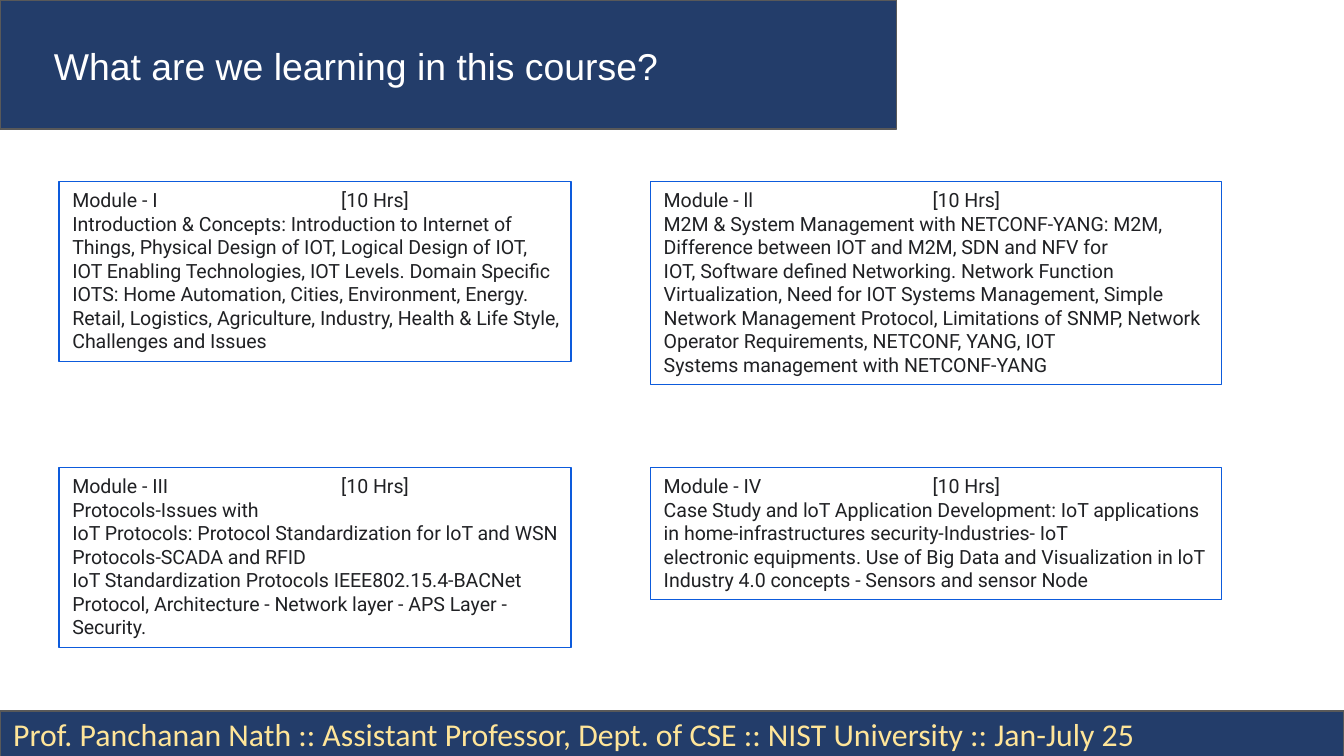
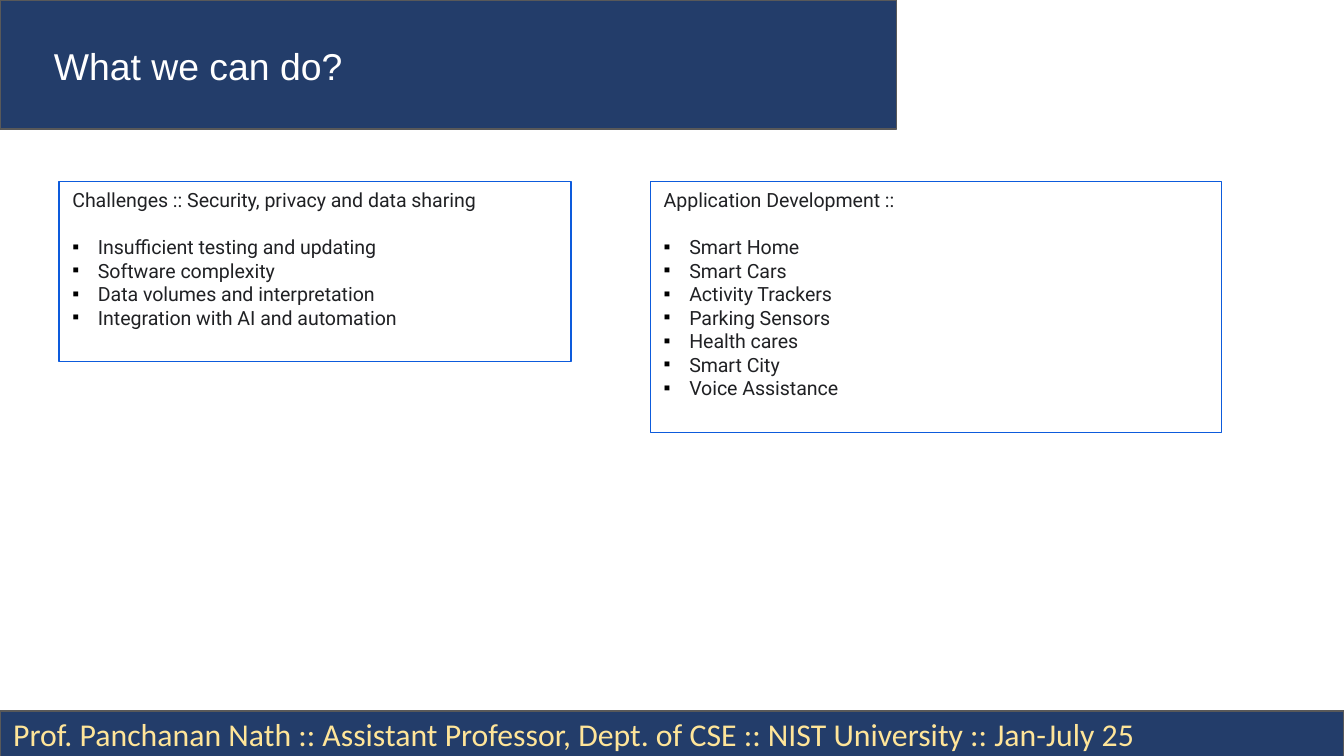
from lxml.etree import SubElement as Sub
from pptx import Presentation
from pptx.dml.color import RGBColor
from pptx.enum.shapes import MSO_SHAPE as Kind
from pptx.enum.text import MSO_ANCHOR as Anchor, MSO_AUTO_SIZE as Fit, PP_ALIGN as Align
from pptx.oxml.ns import qn
from pptx.util import Inches, Pt

NAVY = RGBColor(0x23, 0x3D, 0x6A)
GREY = RGBColor(0x59, 0x59, 0x59)
BLUE = RGBColor(0x0D, 0x5B, 0xDC)
INK = RGBColor(0x20, 0x21, 0x24)
WHITE = RGBColor(0xFF, 0xFF, 0xFF)
CREAM = RGBColor(0xFF, 0xE5, 0x99)

COLS = ((0.44, 3.81), (4.84, 4.25))
ROWS = (1.35, 3.48)
FOOTER = "Prof. Panchanan Nath :: Assistant Professor, Dept. of CSE :: NIST University :: Jan-July 25"

MODULES = (
    (
        "Module - I\t\t[10 Hrs]\n"
        "Introduction & Concepts: Introduction to Internet of Things, Physical Design of IOT, "
        "Logical Design of IOT, IOT Enabling Technologies, IOT Levels. Domain Specific IOTS: "
        "Home Automation, Cities, Environment, Energy.\n"
        "Retail, Logistics, Agriculture, Industry, Health & Life Style, Challenges and Issues",
        1.34,
    ),
    (
        "Module - ll\t\t[10 Hrs]\n"
        "M2M & System Management with NETCONF-YANG: M2M, Difference between IOT and M2M, "
        "SDN and NFV for\n"
        "IOT, Software defined Networking. Network Function Virtualization, "
        "Need for IOT Systems Management, Simple\n"
        "Network Management Protocol, Limitations of SNMP, Network Operator Requirements, "
        "NETCONF, YANG, IOT\n"
        "Systems management with NETCONF-YANG",
        1.51,
    ),
    (
        "Module - III\t\t[10 Hrs]\n"
        "Protocols-Issues with\n"
        "IoT Protocols: Protocol Standardization for loT and WSN Protocols-SCADA and RFID\n"
        "IoT Standardization Protocols IEEE802.15.4-BACNet Protocol, Architecture - "
        "Network layer - APS Layer -\n"
        "Security.",
        1.34,
    ),
    (
        "Module - IV\t\t[10 Hrs]\n"
        "Case Study and loT Application Development: IoT applications in "
        "home-infrastructures security-Industries- IoT\n"
        "electronic equipments. Use of Big Data and Visualization in loT "
        "Industry 4.0 concepts - Sensors and sensor Node",
        0.98,
    ),
)

TOPICS = (
    (
        "Challenges :: Security, privacy and data sharing",
        (
            "Insufficient testing and updating",
            "Software complexity",
            "Data volumes and interpretation",
            "Integration with AI and automation",
        ),
        1.34,
    ),
    (
        "Application Development ::",
        (
            "Smart Home",
            "Smart Cars",
            "Activity Trackers",
            "Parking Sensors",
            "Health cares",
            "Smart City",
            "Voice Assistance",
        ),
        1.87,
    ),
)


def style(para, font, size, color):
    para.alignment = Align.LEFT
    for run in para.runs:
        run.font.name = font
        run.font.size = Pt(size)
        run.font.color.rgb = color
    for br in para._p.findall(qn("a:br")):
        Sub(br, qn("a:rPr")).set("sz", str(int(size * 100)))


def setup(frame, anchor):
    frame.word_wrap = True
    frame.auto_size = Fit.NONE
    frame.vertical_anchor = anchor


def add_rect(slide, left, top, width, height, line, fill=None):
    rect = slide.shapes.add_shape(
        Kind.RECTANGLE, Inches(left), Inches(top), Inches(width), Inches(height)
    )
    rect.shadow.inherit = False
    if fill is None:
        rect.fill.background()
    else:
        rect.fill.solid()
        rect.fill.fore_color.rgb = fill
    rect.line.color.rgb = line
    rect.line.width = Pt(0.75)
    return rect


def add_title(slide, text):
    title = slide.shapes.title
    title.left, title.top = Inches(0.3), Inches(0.27)
    title.width, title.height = Inches(5.56), Inches(0.44)
    setup(title.text_frame, Anchor.TOP)
    title.text_frame.text = text
    style(title.text_frame.paragraphs[0], "Arial", 20, WHITE)
    band = add_rect(slide, 0, 0, 6.67, 0.96, GREY, NAVY)
    title.element.addprevious(band.element)


def add_footer(slide):
    add_rect(slide, 0, 5.29, 10, 0.35, GREY, NAVY)
    box = slide.shapes.add_textbox(0, Inches(5.26), Inches(10), Inches(0.4))
    setup(box.text_frame, Anchor.MIDDLE)
    box.text_frame.text = FOOTER
    style(box.text_frame.paragraphs[0], "Calibri", 17, CREAM)


def add_slide(deck, title):
    slide = deck.slides.add_slide(deck.slide_layouts[5])
    add_title(slide, title)
    add_footer(slide)
    return slide


def add_tabs(para, *stops):
    tabs = Sub(para._p.get_or_add_pPr(), qn("a:tabLst"))
    for stop in stops:
        tab = Sub(tabs, qn("a:tab"))
        tab.set("pos", str(Inches(stop)))
        tab.set("algn", "l")


def add_card(slide, index, text, height):
    row, col = divmod(index, len(COLS))
    left, width = COLS[col]
    card = add_rect(slide, left, ROWS[row], width, height, BLUE)
    frame = card.text_frame
    setup(frame, Anchor.TOP)
    frame.margin_right = Inches(0.08)
    para = frame.paragraphs[0]
    para.text = text
    style(para, "Roboto", 10.5, INK)
    return frame


def add_bullet(frame, text):
    para = frame.add_paragraph()
    para.text = text
    style(para, "Roboto", 10.5, INK)
    props = para._p.get_or_add_pPr()
    props.set("marL", str(Inches(0.19)))
    props.set("indent", str(-Inches(0.19)))
    Sub(Sub(props, qn("a:buClr")), qn("a:srgbClr")).set("val", "000000")
    Sub(props, qn("a:buFont")).set("typeface", "Arial")
    Sub(props, qn("a:buChar")).set("char", "▪")


def main():
    deck = Presentation()
    deck.slide_width = Inches(10)
    deck.slide_height = deck.slide_width * 9 // 16

    slide = add_slide(deck, "What are we learning in this course?")
    for index, (text, height) in enumerate(MODULES):
        frame = add_card(slide, index, text, height)
        add_tabs(frame.paragraphs[0], 1, 2)

    slide = add_slide(deck, "What we can do?")
    for index, (head, items, height) in enumerate(TOPICS):
        frame = add_card(slide, index, head, height)
        frame.paragraphs[0].space_after = Pt(12.6)
        for item in items:
            add_bullet(frame, item)

    deck.save("out.pptx")


if __name__ == "__main__":
    main()
